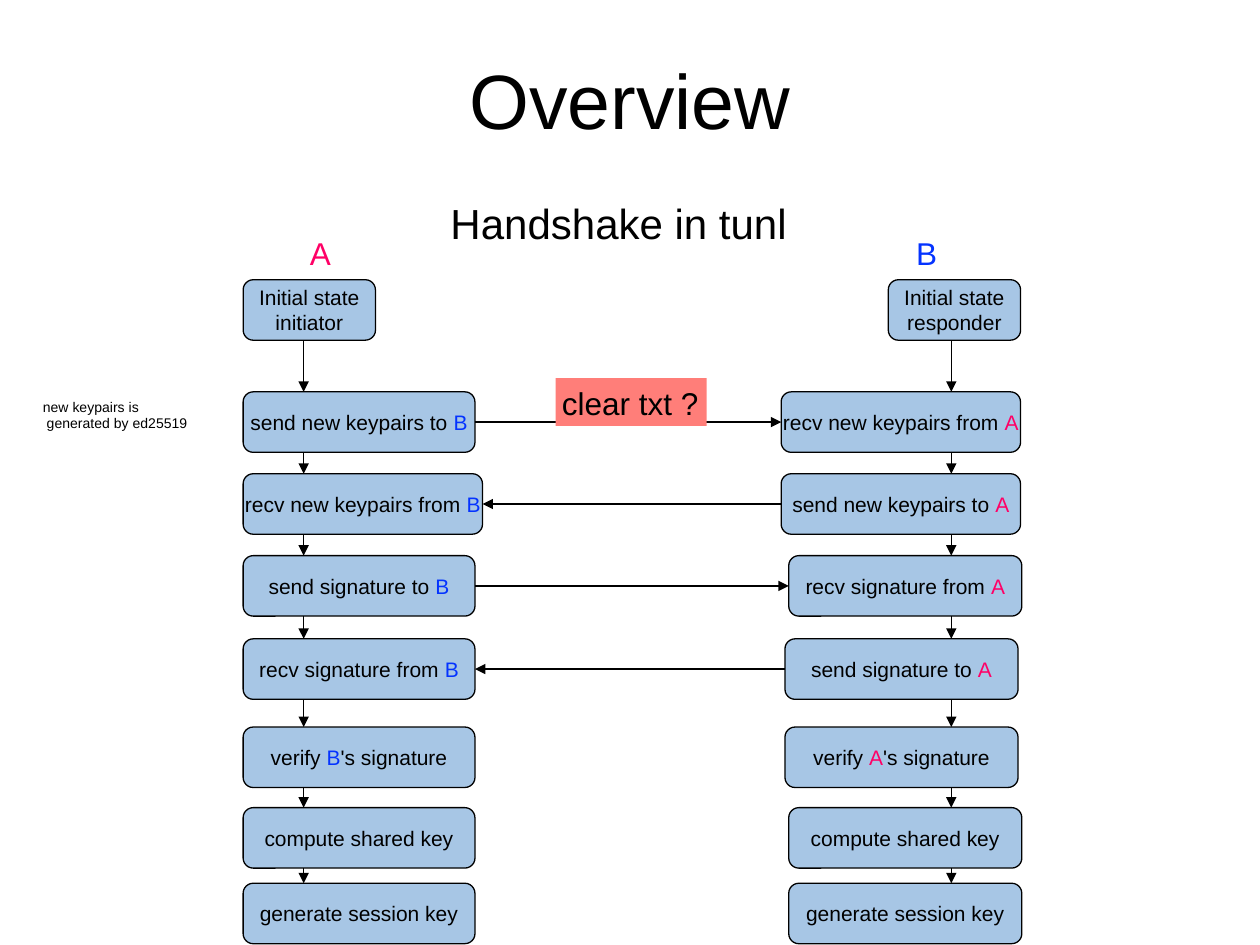
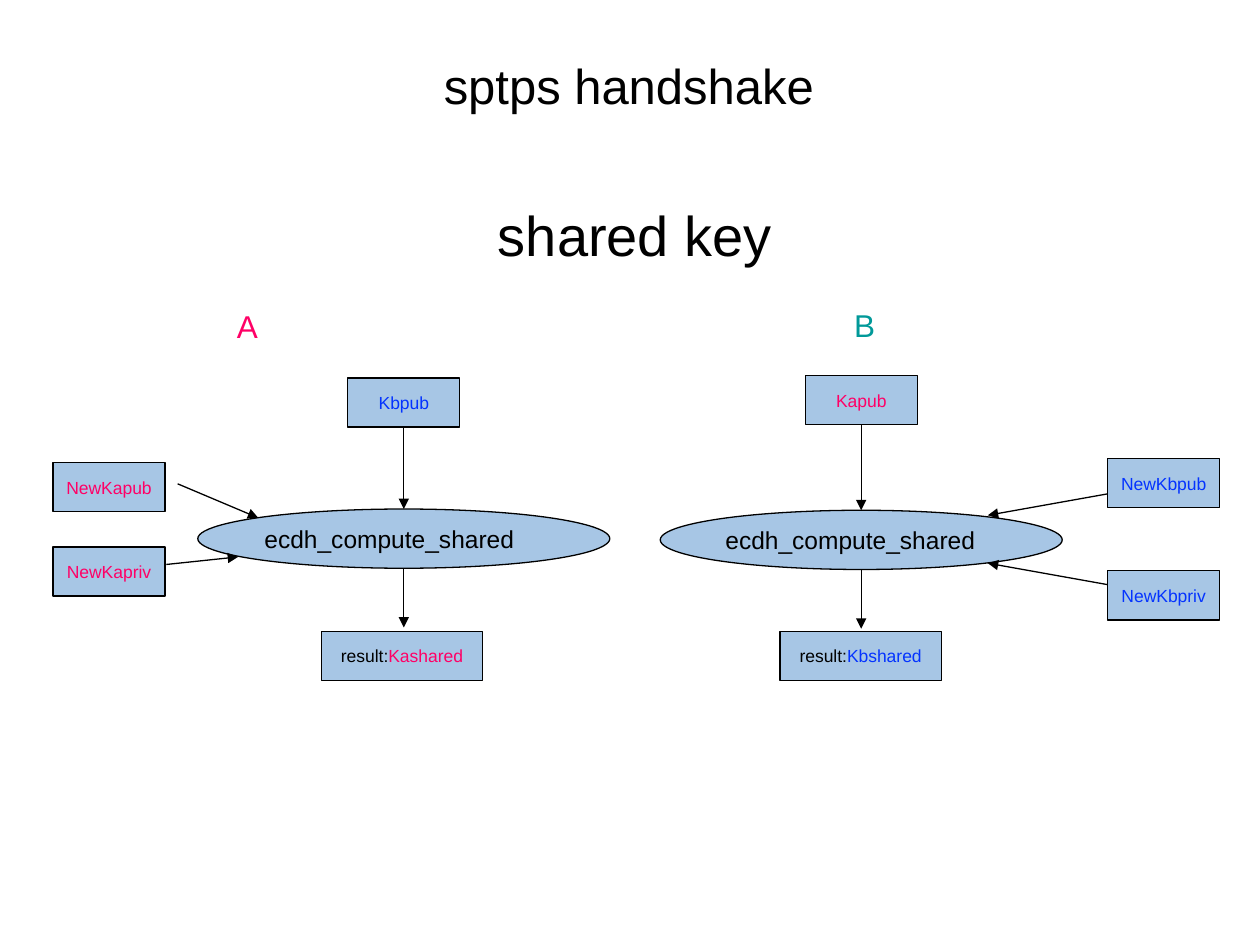
from lxml.etree import SubElement
from pptx import Presentation
from pptx.dml.color import RGBColor
from pptx.enum.shapes import MSO_CONNECTOR, MSO_SHAPE
from pptx.enum.text import MSO_ANCHOR, MSO_AUTO_SIZE, PP_ALIGN
from pptx.oxml.ns import qn
from pptx.util import Inches, Pt

FONT = "Arial"
BLACK, PINK, BLUE, TEAL = "000000", "FF0066", "0433FF", "009999"
BOX_FILL, WARNING_FILL = "A7C6E5", "FF7E79"
TITLE_ONLY = 5


def color(value):
    """Turn a hex string into a colour."""
    return RGBColor.from_string(value)


class Deck:
    """Holds the shared style and the slide being built."""

    def __init__(self):
        """Start an empty 10 by 7.5 inch presentation."""
        self.presentation = Presentation()
        self.presentation.slide_width = Inches(10)
        self.presentation.slide_height = Inches(7.5)
        self.slide = None

    def add_slide(self, title, place, size):
        """Add a slide and fill its title placeholder."""
        layout = self.presentation.slide_layouts[TITLE_ONLY]
        self.slide = self.presentation.slides.add_slide(layout)
        shape = self.slide.shapes.title
        shape.left, shape.top, shape.width, shape.height = map(Inches, place)
        self.fill_text(shape, [[(title, BLACK)]], size)

    def fill_text(self, shape, lines, size, align=PP_ALIGN.CENTER,
                  anchor=MSO_ANCHOR.MIDDLE, wrap=True):
        """Put lines, each a list of (text, colour) runs, into a shape."""
        frame = shape.text_frame
        frame.auto_size = MSO_AUTO_SIZE.NONE
        frame.word_wrap = wrap
        frame.vertical_anchor = anchor
        frame.margin_left = frame.margin_right = Inches(0.05)
        frame.margin_top = frame.margin_bottom = Inches(0.05)
        for index, runs in enumerate(lines):
            paragraph = frame.add_paragraph() if index else frame.paragraphs[0]
            paragraph.alignment = align
            for text, run_color in runs:
                run = paragraph.add_run()
                run.text = text
                run.font.name = FONT
                run.font.size = Pt(size)
                run.font.color.rgb = color(run_color)

    def text(self, place, lines, size, align=PP_ALIGN.LEFT,
             anchor=MSO_ANCHOR.TOP):
        """Add a wrapping text box."""
        shape = self.slide.shapes.add_textbox(*map(Inches, place))
        self.fill_text(shape, lines, size, align, anchor)
        return shape

    def box(self, kind, place, lines, size, fill=BOX_FILL, outlined=True,
            **layout):
        """Add a filled shape with its text inside."""
        shape = self.slide.shapes.add_shape(kind, *map(Inches, place))
        shape.shadow.inherit = False
        shape.fill.solid()
        shape.fill.fore_color.rgb = color(fill)
        if outlined:
            shape.line.color.rgb = color(BLACK)
            shape.line.width = Pt(0.75)
        else:
            shape.line.fill.background()
        self.fill_text(shape, lines, size, **layout)

    def arrow(self, start, end):
        """Add a thin line with an arrowhead at its end."""
        connector = self.slide.shapes.add_connector(
            MSO_CONNECTOR.STRAIGHT, *map(Inches, (*start, *end)))
        connector.line.color.rgb = color(BLACK)
        connector.line.width = Pt(0.75)
        properties = connector._element.spPr
        SubElement(properties.find(qn("a:ln")), qn("a:tailEnd"), type="triangle")
        SubElement(properties, qn("a:effectLst"))


def step_runs(label, peer):
    """Split a label at @ and put the coloured peer name there."""
    before, mark, after = label.partition("@")
    runs = [(before, BLACK), peer if mark else ("", BLACK), (after, BLACK)]
    return [run for run in runs if run[0]]


def build_overview(deck):
    """Build the handshake sequence between both peers."""
    deck.add_slide("Overview", (0.5, 0.3, 9, 0.96), 44)
    deck.text((0.41, 1.25, 9, 0.77), [[("Handshake in tunl", BLACK)]], 24,
              PP_ALIGN.CENTER, MSO_ANCHOR.BOTTOM)

    peer_a, peer_b = ("A", PINK), ("B", BLUE)
    deck.text((2.41, 1.81, 0.28, 0.38), [[peer_a]], 18)
    deck.text((7.22, 1.81, 0.28, 0.38), [[peer_b]], 18)

    row_tops = [2.22, 3.11, 3.76, 4.41, 5.07, 5.77, 6.41, 7.01]
    row_height = 0.48
    send_keys, receive_keys = "send new keypairs to @", "recv new keypairs from @"
    send_signature, receive_signature = "send signature to @", "recv signature from @"
    closing = ["verify @'s signature", "compute shared key", "generate session key"]
    initiator_steps = [send_keys, receive_keys, send_signature,
                       receive_signature, *closing]
    responder_steps = [receive_keys, send_keys, receive_signature,
                       send_signature, *closing]
    initiator_spans = [(1.93, width) for width in
                       (1.05, 1.84, 1.9, 1.84, 1.84, 1.84, 1.84, 1.84)]
    responder_spans = [(7.05, 1.05), (6.2, 1.9), (6.2, 1.9), (6.26, 1.85),
                       (6.23, 1.85), (6.23, 1.85), (6.26, 1.85), (6.26, 1.85)]
    columns = [("initiator", initiator_steps, peer_b, initiator_spans, 2.41),
               ("responder", responder_steps, peer_a, responder_spans, 7.55)]

    for role, steps, peer, spans, arrow_x in columns:
        contents = [[[("Initial state", BLACK)], [(role, BLACK)]]]
        contents += [[step_runs(step, peer)] for step in steps]
        for (left, width), top, lines in zip(spans, row_tops, contents):
            deck.box(MSO_SHAPE.ROUNDED_RECTANGLE,
                     (left, top, width, row_height), lines, 12, wrap=False)
        for top, next_top in zip(row_tops, row_tops[1:]):
            deck.arrow((arrow_x, top + row_height), (arrow_x, next_top))

    for row in range(1, 5):
        middle = row_tops[row] + row_height / 2
        left, width = initiator_spans[row]
        ends = [(left + width, middle), (responder_spans[row][0], middle)]
        deck.arrow(*(ends if row % 2 else reversed(ends)))

    deck.text((0.29, 3.11, 1.39, 0.35),
              [[("new keypairs is", BLACK)], [(" generated by ed25519", BLACK)]], 8)
    deck.box(MSO_SHAPE.RECTANGLE, (4.41, 3, 1.2, 0.38),
             [[("clear txt ?", BLACK)]], 18, WARNING_FILL, outlined=False,
             align=PP_ALIGN.LEFT, anchor=MSO_ANCHOR.TOP, wrap=False)


def build_shared_key(deck):
    """Build the key computation of both peers side by side."""
    deck.add_slide("sptps handshake", (0.74, 0.41, 8.5, 0.53), 28)
    heading = deck.text((1.54, 1.54, 7, 0.6), [[("shared key", BLACK)]], 32,
                        PP_ALIGN.CENTER)
    heading.text_frame.paragraphs[0].space_before = Pt(7)
    deck.text((1.83, 2.39, 1.14, 0.38), [[("A", PINK)]], 18)
    deck.text((6.73, 2.38, 1.14, 0.38), [[("B", TEAL)]], 18)

    key_width, result_width, key_height = 0.89, 1.28, 0.39
    keys = [("Kbpub", BLUE, 2.76, 3), ("NewKapub", PINK, 0.42, 3.67),
            ("NewKapriv", PINK, 0.42, 4.34), ("Kapub", PINK, 6.39, 2.98),
            ("NewKbpub", BLUE, 8.79, 3.64), ("NewKbpriv", BLUE, 8.79, 4.53)]
    for name, name_color, left, top in keys:
        deck.box(MSO_SHAPE.RECTANGLE, (left, top, key_width, key_height),
                 [[(name, name_color)]], 10, wrap=False)

    computations = [((1.57, 4.04, 3.27, 0.47), "Kashared", PINK, 2.55, 3),
                    ((5.24, 4.05, 3.19, 0.47), "Kbshared", BLUE, 6.19, 2.98)]
    for place, result, result_color, result_left, key_top in computations:
        left, top, width, height = place
        middle, bottom = left + width / 2, top + height
        deck.box(MSO_SHAPE.OVAL, place, [[("ecdh_compute_shared", BLACK)]], 14,
                 align=PP_ALIGN.LEFT)
        deck.box(MSO_SHAPE.RECTANGLE,
                 (result_left, 5.01, result_width, key_height),
                 [[("result:", BLACK), (result, result_color)]], 10, wrap=False)
        deck.arrow((middle, key_top + key_height), (middle, top))
        deck.arrow((middle, bottom), (middle, bottom + 0.47))

    for start, end in [((1.41, 3.84), (2.05, 4.11)), ((1.32, 4.48), (1.89, 4.42)),
                       ((8.79, 3.92), (7.84, 4.09)), ((8.79, 4.64), (7.84, 4.47))]:
        deck.arrow(start, end)


deck = Deck()
build_overview(deck)
build_shared_key(deck)
deck.presentation.save("out.pptx")
